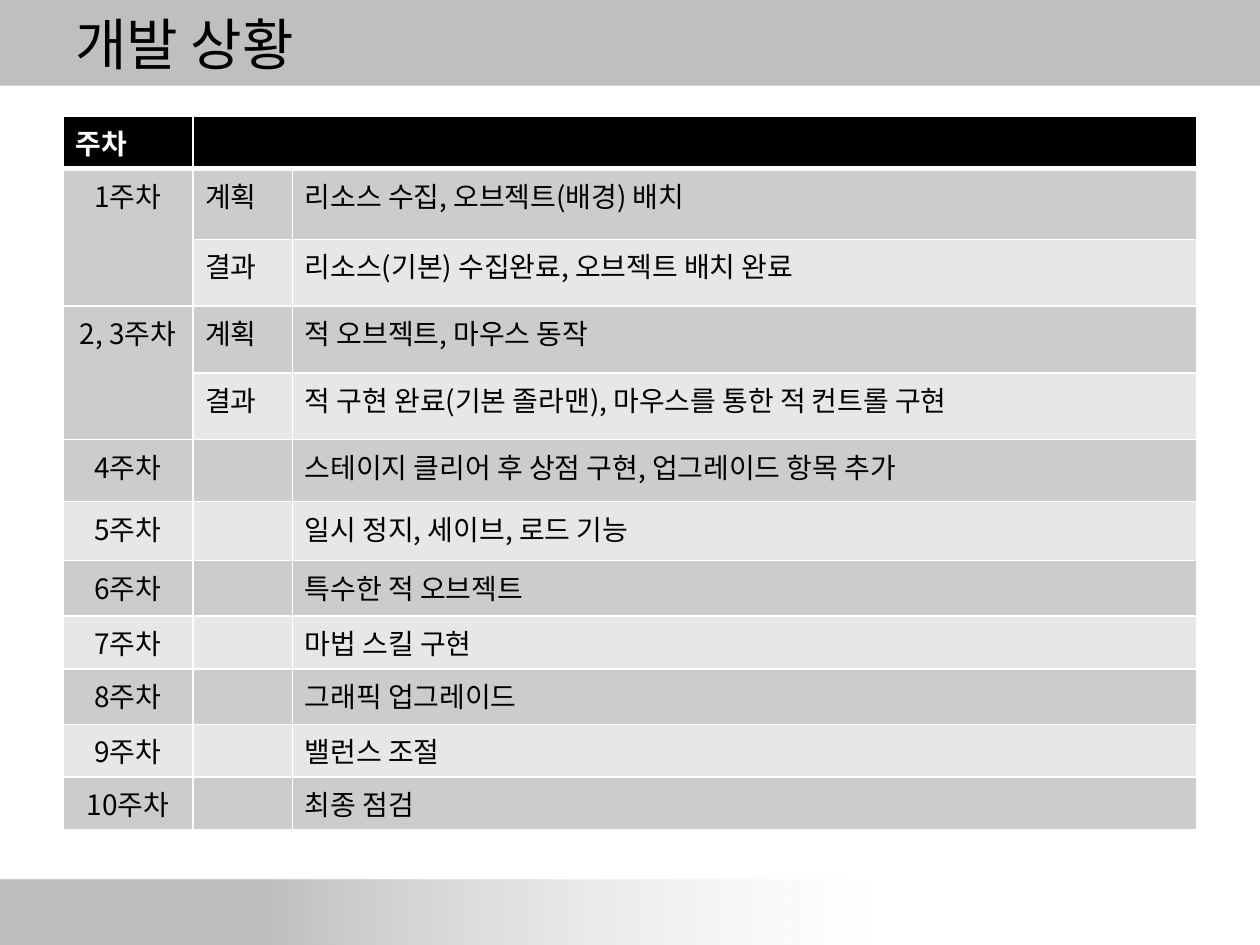
from dataclasses import dataclass

from lxml import etree
from pptx import Presentation
from pptx import util as u
from pptx.dml.color import RGBColor
from pptx.enum import shapes, text
from pptx.oxml import ns


@dataclass(frozen=True)
class Theme:
    font: str = "Noto Sans CJK KR"
    title_size: int = 32
    table_size: int = 16
    black: str = "000000"
    white: str = "FFFFFF"
    bar: str = "BFBFBF"
    fade: str = "E6E0EC"
    dark_band: str = "CCCCCC"
    light_band: str = "E7E7E7"


THEME = Theme()
COLUMN_WIDTHS = [1.03, 0.79, 7.18]
ROW_HEIGHTS = [0.42, 0.56, 0.53, 0.53, 0.53, 0.49, 0.47, 0.44, 0.42, 0.44, 0.42, 0.42]
SCHEDULE = [
    ("주차", "", ""),
    ("1주차", "계획", "리소스 수집, 오브젝트(배경) 배치"),
    ("", "결과", "리소스(기본) 수집완료, 오브젝트 배치 완료"),
    ("2, 3주차", "계획", "적 오브젝트, 마우스 동작"),
    ("", "결과", "적 구현 완료(기본 졸라맨), 마우스를 통한 적 컨트롤 구현"),
    ("4주차", "", "스테이지 클리어 후 상점 구현, 업그레이드 항목 추가"),
    ("5주차", "", "일시 정지, 세이브, 로드 기능"),
    ("6주차", "", "특수한 적 오브젝트"),
    ("7주차", "", "마법 스킬 구현"),
    ("8주차", "", "그래픽 업그레이드"),
    ("9주차", "", "밸런스 조절"),
    ("10주차", "", "최종 점검"),
]
MERGES = [((0, 1), (0, 2)), ((1, 0), (2, 0)), ((3, 0), (4, 0))]


def rgb(value):
    return RGBColor.from_string(value)


def add_span(para, words, size, color, bold=False):
    span = para.add_run()
    span.text = words
    span.font.size = u.Pt(size)
    span.font.bold = bold
    span.font.name = THEME.font
    span.font.color.rgb = rgb(color)
    east_asian = etree.SubElement(span.font._element, ns.qn("a:ea"))
    east_asian.set("typeface", THEME.font)


def add_bar(page, box):
    bar = page.shapes.add_shape(shapes.MSO_SHAPE.RECTANGLE, *map(u.Inches, box))
    bar.shadow.inherit = False
    bar.line.fill.background()
    return bar


def add_header(page, box):
    bar = add_bar(page, box)
    bar.fill.solid()
    bar.fill.fore_color.rgb = rgb(THEME.bar)

    left, top, width, height = box
    margin = 0.5
    title = page.shapes.add_textbox(
        *map(u.Inches, (left + margin, top, width - 2 * margin, height))
    )
    frame = title.text_frame
    frame.word_wrap = True
    frame.vertical_anchor = text.MSO_ANCHOR.MIDDLE
    add_span(frame.paragraphs[0], "개발 상황", THEME.title_size, THEME.black)


def add_footer(page, box):
    bar = add_bar(page, box)
    bar.fill.gradient()
    bar.fill.gradient_angle = 0
    stops = bar.fill.gradient_stops
    for stop, position, color in zip(stops, (0.21, 0.69), (THEME.bar, THEME.fade)):
        stop.position = position
        stop.color.rgb = rgb(color)
    last_color = list(bar._element.iter(ns.qn("a:srgbClr")))[-1]
    etree.SubElement(last_color, ns.qn("a:alpha")).set("val", "0")


def set_borders(cell, bottom_width):
    properties = cell._tc.get_or_add_tcPr()
    widths = {"a:lnL": 1, "a:lnR": 1, "a:lnT": 1, "a:lnB": bottom_width}
    for index, (side, width) in enumerate(widths.items()):
        line = etree.Element(ns.qn(side), w=str(u.Pt(width)))
        fill = etree.SubElement(line, ns.qn("a:solidFill"))
        etree.SubElement(fill, ns.qn("a:srgbClr"), val=THEME.white)
        properties.insert(index, line)


def fill_cell(cell, words, row, column):
    header = row == 0
    band = THEME.dark_band if row % 2 else THEME.light_band
    cell.fill.solid()
    cell.fill.fore_color.rgb = rgb(THEME.black if header else band)
    set_borders(cell, 3 if header else 1)
    para = cell.text_frame.paragraphs[0]
    if column == 0 and not header:
        para.alignment = text.PP_ALIGN.CENTER
    if words:
        color = THEME.white if header else THEME.black
        add_span(para, words, THEME.table_size, color, header)
    else:
        ending = etree.SubElement(para._p, ns.qn("a:endParaRPr"))
        ending.set("sz", str(THEME.table_size * 100))


def add_schedule(page, box):
    frame = page.shapes.add_table(
        len(SCHEDULE), len(COLUMN_WIDTHS), *map(u.Inches, box)
    )
    table = frame.table
    for column, width in zip(table.columns, COLUMN_WIDTHS):
        column.width = u.Inches(width)
    for row, height in zip(table.rows, ROW_HEIGHTS):
        row.height = u.Inches(height)
    for row, entries in enumerate(SCHEDULE):
        for column, words in enumerate(entries):
            fill_cell(table.cell(row, column), words, row, column)
    for first, last in MERGES:
        table.cell(*first).merge(table.cell(*last))


def main():
    deck = Presentation()
    deck.slide_width = u.Inches(10)
    deck.slide_height = u.Inches(7.5)
    page = deck.slides.add_slide(deck.slide_layouts[6])
    add_header(page, (0, 0, 10, 0.68))
    add_schedule(page, (0.5, 0.92, 9, sum(ROW_HEIGHTS)))
    add_footer(page, (0, 6.98, 10, 0.52))
    deck.save("out.pptx")


if __name__ == "__main__":
    main()
